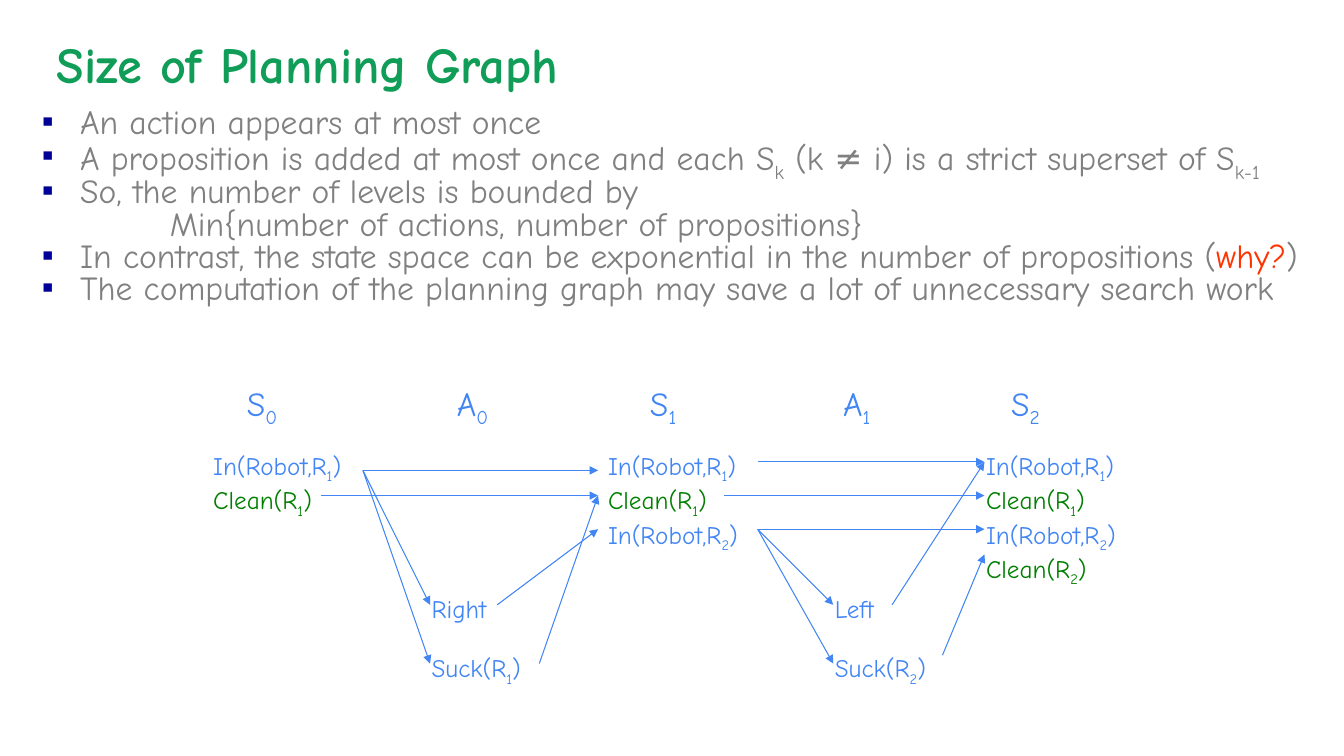
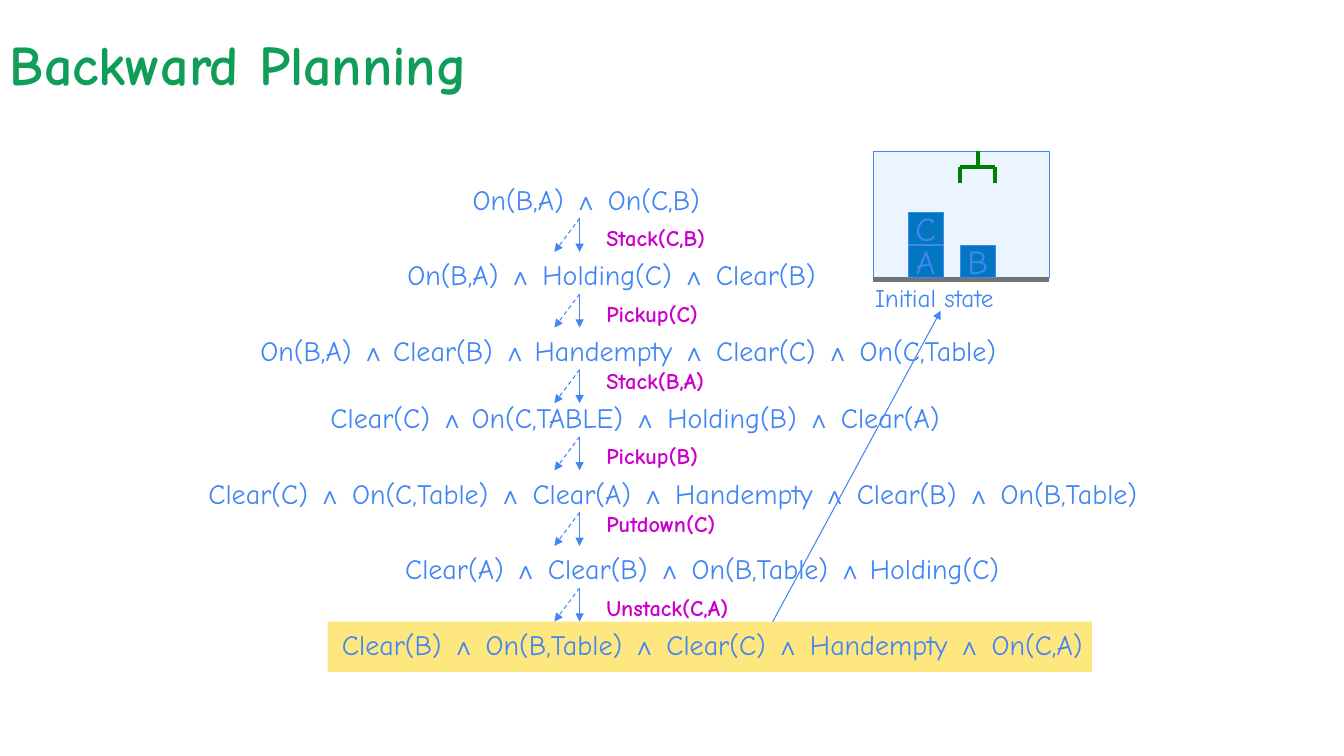
from dataclasses import dataclass

from lxml import etree
from pptx import Presentation
from pptx.dml.color import RGBColor
from pptx.enum.dml import MSO_LINE_DASH_STYLE as Dash
from pptx.enum.shapes import MSO_CONNECTOR as Connector, MSO_SHAPE as Shape
from pptx.enum.text import MSO_ANCHOR as Anchor, PP_ALIGN as Align
from pptx.oxml.ns import qn
from pptx.util import Inches, Pt

# The grid: 160 columns by 90 rows, twelve to the inch
COLS, ROWS, PER_INCH = 160, 90, 12

BLUE, GREEN, GREY = "4285F4", "008000", "808080"
TITLE_GREEN, PURPLE, RED, NAVY = "0F9D58", "CC00CC", "FF3300", "000099"
YELLOW, SKY, BLOCK_BLUE, FLOOR = "FFE77F", "EBF5FF", "0277BD", "737373"
FONT = "Comic Neue"

# Text is split at "|"; a piece that starts with a mark takes its format
OPERATOR = {"name": "Arial", "size": Pt(18), "bold": True}


@dataclass
class Box:
    """An area of the grid; places inside it count from its corner."""
    left: float
    top: float
    width: float
    height: float

    def inner(self, col, row, width, height):
        return Box(self.left + col, self.top + row, width, height)

    def point(self, col, row):
        return grid(self.left + col), grid(self.top + row)

    def frame(self):
        return [grid(v) for v in (self.left, self.top, self.width, self.height)]


PAGE = Box(0, 0, COLS, ROWS)


def grid(units):
    return Inches(units / PER_INCH)


def color(value):
    return RGBColor.from_string(value)


def set_format(target, values):
    for name, value in values.items():
        setattr(target, name, value)


def write_para(para, text, size, ink, bold=False, **layout):
    set_format(para, layout)
    for piece in text.split("|"):
        span = para.add_run()
        span.text = piece.lstrip("_#")
        span.font.color.rgb = color(RED if piece.startswith("#") else ink)
        set_format(span.font, {"name": FONT, "size": Pt(size), "bold": bold})
        if piece.startswith("∧"):
            set_format(span.font, OPERATOR)
        if piece.startswith("_"):
            span._r.get_or_add_rPr().set("baseline", "-25000")


def add_text(page, box, lines, size, ink=BLUE, bold=False, inset=0.05,
             anchor=Anchor.TOP, **layout):
    """Each line is a string, or a pair of string and colour."""
    frame = page.shapes.add_textbox(*box.frame()).text_frame
    set_format(frame, {"word_wrap": True, "vertical_anchor": anchor,
                       "margin_top": Inches(inset),
                       "margin_bottom": Inches(inset)})
    for number, line in enumerate(lines):
        text, line_ink = (line, ink) if isinstance(line, str) else line
        para = frame.add_paragraph() if number else frame.paragraphs[0]
        write_para(para, text, size, line_ink, bold, **layout)
    return frame


def add_rect(page, box, fill, line=None, letter=None):
    rect = page.shapes.add_shape(Shape.RECTANGLE, *box.frame())
    rect.shadow.inherit = False
    rect.fill.solid()
    rect.fill.fore_color.rgb = color(fill)
    if line:
        rect.line.color.rgb = color(line)
        rect.line.width = Pt(0.75)
    else:
        rect.line.fill.background()
    if letter:
        set_format(rect.text_frame, {
            "word_wrap": False, "vertical_anchor": Anchor.MIDDLE,
            "margin_left": 0, "margin_right": 0,
            "margin_top": 0, "margin_bottom": 0})
        write_para(rect.text_frame.paragraphs[0], letter, 24, BLUE,
                   alignment=Align.CENTER)


def add_line(page, box, ends, ink=BLUE, width=0.75, arrow=True, dash=None):
    start, end = box.point(*ends[:2]), box.point(*ends[2:])
    line = page.shapes.add_connector(Connector.STRAIGHT, *start, *end)
    line.line.color.rgb = color(ink)
    line.line.width = Pt(width)
    if dash:
        line.line.dash_style = dash
    if arrow:
        tail = etree.SubElement(line.line._get_or_add_ln(), qn("a:tailEnd"))
        tail.set("type", "triangle")
    etree.SubElement(line._element.spPr, qn("a:effectLst"))


def add_page(deck, title, size, left):
    page = deck.slides.add_slide(deck.slide_layouts[6])
    page.background.fill.solid()
    page.background.fill.fore_color.rgb = color("FFFFFF")
    add_text(page, PAGE.inner(left, 0.8, COLS - left, 13.4), [title], size,
             TITLE_GREEN, bold=True, inset=0.1, anchor=Anchor.MIDDLE)
    return page


# Slide 1: bullets above a planning graph
MIN_LINE = "Min{number of actions, number of propositions}"
BULLETS = [
    "An action appears at most once",
    "A proposition is added at most once and each S|_k| (k ≠ i) is a strict "
    "superset of S|_k-1",
    "So, the number of levels is bounded by",
    MIN_LINE,
    "In contrast, the state space can be exponential in the number of "
    "propositions (|#why?|)",
    "The computation of the planning graph may save a lot of unnecessary "
    "search work",
]
IN_1, IN_2 = "In(Robot,R|_1|)", "In(Robot,R|_2|)"
CLEAN_1, CLEAN_2 = ("Clean(R|_1|)", GREEN), ("Clean(R|_2|)", GREEN)

LEVELS = [(4, "S|_0"), (29, "A|_0"), (52, "S|_1"), (75, "A|_1"), (95, "S|_2")]
STATES = [(0, [IN_1, CLEAN_1]), (47, [IN_1, CLEAN_1, IN_2]),
          (92, [IN_1, CLEAN_1, IN_2, CLEAN_2])]
ACTIONS = [(26, ["Right", "Suck(R|_1|)"]), (74, ["Left", "Suck(R|_2|)"])]
GRAPH_ARROWS = [
    # first level: kept facts, preconditions, effects
    (19, 11, 47, 11), (14, 14, 47, 14),
    (19, 11, 27, 27), (19, 11, 27, 34),
    (35, 27, 47, 18), (40, 34, 47, 14),
    # second level
    (66, 10, 93, 10), (62, 14, 93, 14), (66, 18, 93, 18),
    (66, 18, 75, 27), (66, 18, 75, 34),
    (82, 27, 93, 10), (88, 33, 93, 21),
]


def add_bullets(page, box):
    frame = add_text(page, box, BULLETS, 24, GREY, inset=0.1, line_spacing=0.8)
    for para, text in zip(frame.paragraphs, BULLETS):
        props = para._p.get_or_add_pPr()
        if text == MIN_LINE:
            props.set("marL", str(Inches(1.27)))
            continue
        props.set("marL", str(Inches(0.38)))
        props.set("indent", str(-Inches(0.38)))
        tint = etree.SubElement(props, qn("a:buClr"))
        etree.SubElement(tint, qn("a:srgbClr")).set("val", NAVY)
        etree.SubElement(props, qn("a:buFont")).set("typeface", "Arial")
        etree.SubElement(props, qn("a:buChar")).set("char", "▪")


def add_graph(page, box):
    for ends in GRAPH_ARROWS:
        add_line(page, box, ends)
    for col, name in LEVELS:
        add_text(page, box.inner(col, 0, 8, 6), [name], 24)
    for col, facts in STATES:
        add_text(page, box.inner(col, 8, 22, 16), facts, 18)
    for col, names in ACTIONS:
        frame = add_text(page, box.inner(col, 25, 17, 12), names, 18)
        frame.paragraphs[1].space_before = Pt(21)


# Slide 2: goal regression beside the initial state
# formula, centre column, row, action below, rows down to that action
REGRESSION = [
    ("On(B,A) |∧| On(C,B)", 69.8, 21, "Stack(C,B)", 5),
    ("On(B,A) |∧| Holding(C) |∧| Clear(B)", 72.8, 30, "Pickup(C)", 5),
    ("On(B,A) |∧ |Clear(B) |∧ |Handempty |∧| Clear(C) |∧| On(C,Table)",
     74.8, 39, "Stack(B,A)", 4),
    ("Clear(C) |∧ |On(C,TABLE) |∧| Holding(B) |∧| Clear(A)",
     75.6, 47, "Pickup(B)", 5),
    ("Clear(C) |∧| On(C,Table) |∧| Clear(A) |∧| Handempty |∧| Clear(B) |∧"
     "| On(B,Table)", 80.1, 56, "Putdown(C)", 4),
    ("Clear(A) |∧| Clear(B) |∧| On(B,Table) |∧ |Holding(C)",
     83.6, 65, "Unstack(C,A)", 5),
    ("Clear(B) |∧| On(B,Table) |∧| Clear(C) |∧| Handempty |∧| On(C,A)",
     84.8, 74, None, 0),
]
BLOCKS = [("A", 4.1, 11.2), ("B", 10.3, 11.2), ("C", 4.1, 7.3)]
CLAW = [(10.3, 1.9, 14.5, 1.9), (10.3, 1.9, 10.3, 3.8),
        (12.4, 0, 12.4, 1.9), (14.5, 1.9, 14.5, 3.8)]


def add_regression(page, box):
    # last formula is highlighted and matched to the initial state
    add_rect(page, box.inner(39, 74, 91, 6), YELLOW)
    add_line(page, box, (92, 74, 112, 37))
    width, stem = 130, 69
    for formula, centre, row, action, drop in REGRESSION:
        add_text(page, box.inner(centre - width / 2, row + 0.1, width, 5.2),
                 [formula], 20, alignment=Align.CENTER)
        if action:
            add_text(page, box.inner(stem + 2, row + drop + 0.1, 24, 4.4),
                     [action], 16, PURPLE, bold=True)
            for shift, dash in ((0, None), (-3, Dash.DASH)):
                add_line(page, box, (stem, row + 5, stem + shift, row + 9),
                         dash=dash)


def add_world(page, box):
    add_rect(page, box, SKY, BLUE)
    add_rect(page, box.inner(0, box.height, 20.8, 0.5), FLOOR, FLOOR)
    for letter, col, row in BLOCKS:
        add_rect(page, box.inner(col, row, 4.2, 3.8), BLOCK_BLUE, BLUE, letter)
    for ends in CLAW:
        add_line(page, box, ends, GREEN, 3, arrow=False)
    add_text(page, box.inner(-1, box.height, 20, 4.8), ["Initial state"], 18)


def main():
    deck = Presentation()
    deck.slide_width, deck.slide_height = grid(COLS), grid(ROWS)

    page = add_page(deck, "Size of Planning Graph", 36, 5.6)
    add_bullets(page, PAGE.inner(3.8, 11.8, 152.4, 36.2))
    add_graph(page, PAGE.inner(24.2, 45, 114, 37))

    page = add_page(deck, "Backward Planning", 40, 0)
    add_regression(page, PAGE)
    add_world(page, PAGE.inner(104, 18, 21, 15))

    deck.save("out.pptx")


if __name__ == "__main__":
    main()
